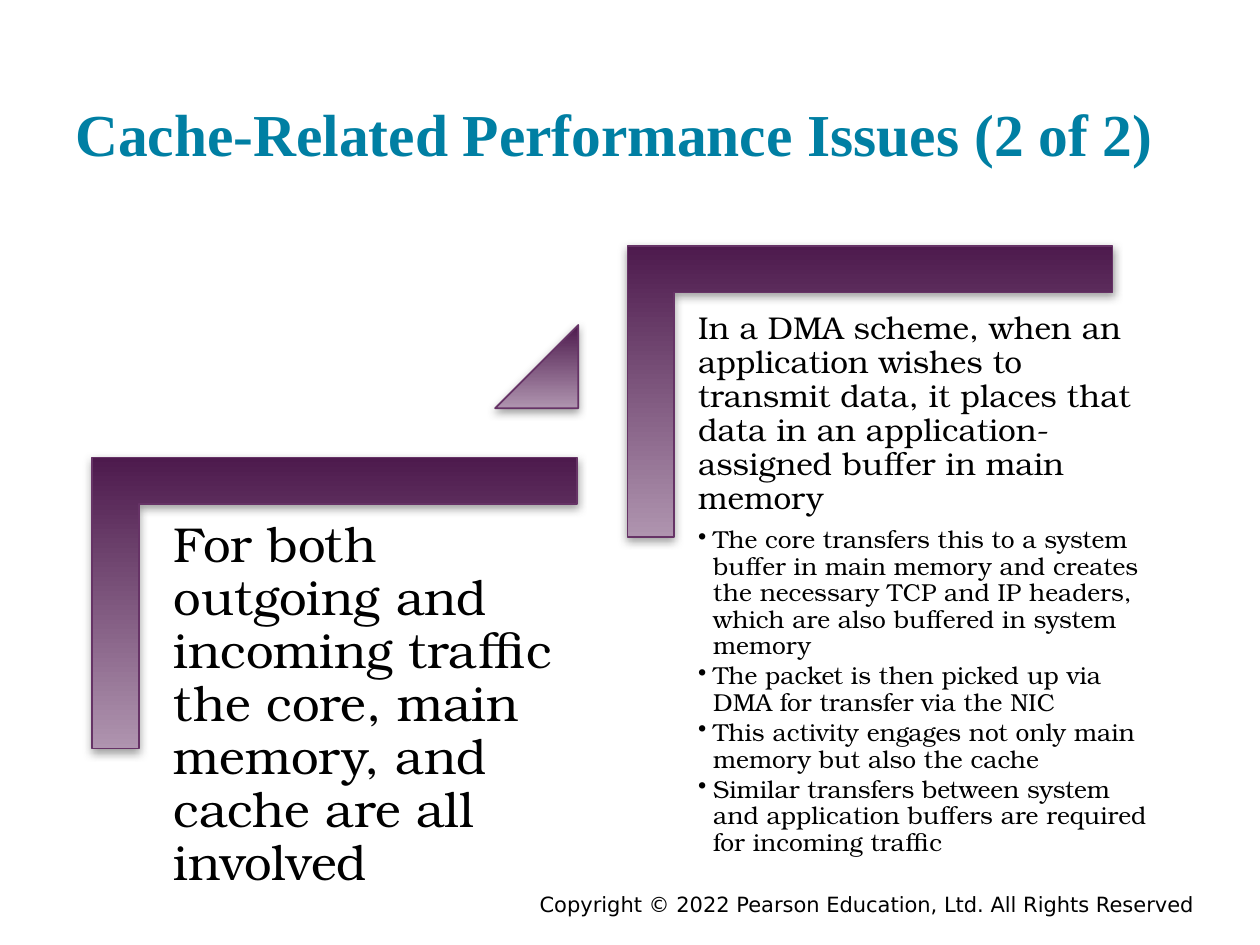
from lxml.etree import SubElement
from pptx import Presentation
from pptx.dml.color import RGBColor
from pptx.enum.shapes import MSO_SHAPE
from pptx.enum.text import MSO_ANCHOR, PP_ALIGN
from pptx.oxml.ns import qn
from pptx.util import Inches, Pt

COLORS = {
    "title": "007FA3",
    "text": "000000",
    "dark": "4D1A4D",
    "light": "AF94AF",
    "outline": "663366",
    "shadow": "808080",
}
SERIF = "TeX Gyre Bonum"
BULLETS = [
    "The core transfers this to a system buffer in main memory and creates the necessary TCP and IP "
    "headers, which are also buffered in system memory",
    "The packet is then picked up via DMA for transfer via the NIC",
    "This activity engages not only main memory but also the cache",
    "Similar transfers between system and application buffers are required for incoming traffic",
]


class SlideBuilder:
    """Holds the style and the current slide."""

    def __init__(self, deck):
        self.slide = deck.slides.add_slide(deck.slide_layouts[6])

    def color(self, name):
        return RGBColor.from_string(COLORS[name])

    def text_box(self, left, top, width, height, margins, anchor=MSO_ANCHOR.TOP):
        box = self.slide.shapes.add_textbox(Inches(left), Inches(top), Inches(width), Inches(height))
        frame = box.text_frame
        frame.word_wrap = True
        frame.vertical_anchor = anchor
        frame.margin_left = frame.margin_right = Inches(margins[0])
        frame.margin_top = frame.margin_bottom = Inches(margins[1])
        return frame

    def style(self, paragraph, size, font=SERIF, color="text", bold=False):
        for span in paragraph.runs:
            span.font.size = Pt(size)
            span.font.name = font
            span.font.bold = bold
            span.font.color.rgb = self.color(color)

    def body(self, paragraph, text, size, after):
        paragraph.text = text
        paragraph.line_spacing = 0.9
        paragraph.space_after = Pt(size * after)
        self.style(paragraph, size)

    def bullet(self, frame, text, size):
        paragraph = frame.add_paragraph()
        self.body(paragraph, text, size, 0.15)
        paragraph.level = 1
        properties = paragraph._p.get_or_add_pPr()
        properties.set("marL", str(Inches(0.12)))
        properties.set("indent", str(Inches(-0.12)))
        SubElement(properties, qn("a:buChar"), char="•")

    def accent(self, kind, left, top, width, height, adjustments, rotation=0):
        shape = self.slide.shapes.add_shape(
            kind, Inches(left), Inches(top), Inches(width), Inches(height)
        )
        shape.rotation = rotation
        for index, value in enumerate(adjustments):
            shape.adjustments[index] = value
        shape.fill.gradient()
        shape.fill.gradient_angle = 270
        for stop, name in zip(shape.fill.gradient_stops, ("dark", "light")):
            stop.color.rgb = self.color(name)
        shape.line.color.rgb = self.color("outline")
        shape.line.width = Pt(1)
        properties = shape._element.spPr
        properties.find(qn("a:gradFill")).set("rotWithShape", "0")
        self.shadow(shape)

    def shadow(self, shape):
        shape.shadow.inherit = False
        effects = shape._element.spPr.find(qn("a:effectLst"))
        outer = SubElement(
            effects, qn("a:outerShdw"), blurRad=str(Pt(5)), dist=str(Pt(2)),
            dir="5400000", rotWithShape="0",
        )
        tint = SubElement(outer, qn("a:srgbClr"), val=COLORS["shadow"])
        SubElement(tint, qn("a:alpha"), val="75000")


def main():
    deck = Presentation()
    deck.slide_width, deck.slide_height = Inches(10), Inches(7.5)
    builder = SlideBuilder(deck)

    footer = builder.text_box(1.75, 7.03, 7.83, 0.22, (0.1, 0.05)).paragraphs[0]
    footer.text = "Copyright © 2022 Pearson Education, Ltd. All Rights Reserved"
    footer.alignment = PP_ALIGN.RIGHT
    builder.style(footer, 12, "DejaVu Sans")

    title = builder.text_box(0.5, 0.24, 9, 1.2, (0.1, 0.1), MSO_ANCHOR.BOTTOM).paragraphs[0]
    title.text = "Cache-Related Performance Issues (2 of 2)"
    builder.style(title, 34, "Times New Roman", "title", True)

    for left, top in ((1.5, 2.86), (5.75, 1.18)):
        builder.accent(MSO_SHAPE.CORNER, left, top, 2.31, 3.85, (0.161, 0.161), 90)
    builder.accent(MSO_SHAPE.ISOSCELES_TRIANGLE, 3.93, 2.58, 0.66, 0.66, (1,))

    traffic = builder.text_box(1.26, 4.01, 3.47, 3.04, (0.12, 0.12))
    builder.body(
        traffic.paragraphs[0],
        "For both outgoing and incoming traffic the core, main memory, and cache are all involved",
        28, 0.35,
    )

    scheme = builder.text_box(5.47, 2.41, 3.78, 4.3, (0.07, 0.07))
    builder.body(
        scheme.paragraphs[0],
        "In a DMA scheme, when an application wishes to transmit data, it places that data in an "
        "application-assigned buffer in main memory",
        18, 0.35,
    )
    for text in BULLETS:
        builder.bullet(scheme, text, 14)

    deck.save("out.pptx")


if __name__ == "__main__":
    main()
